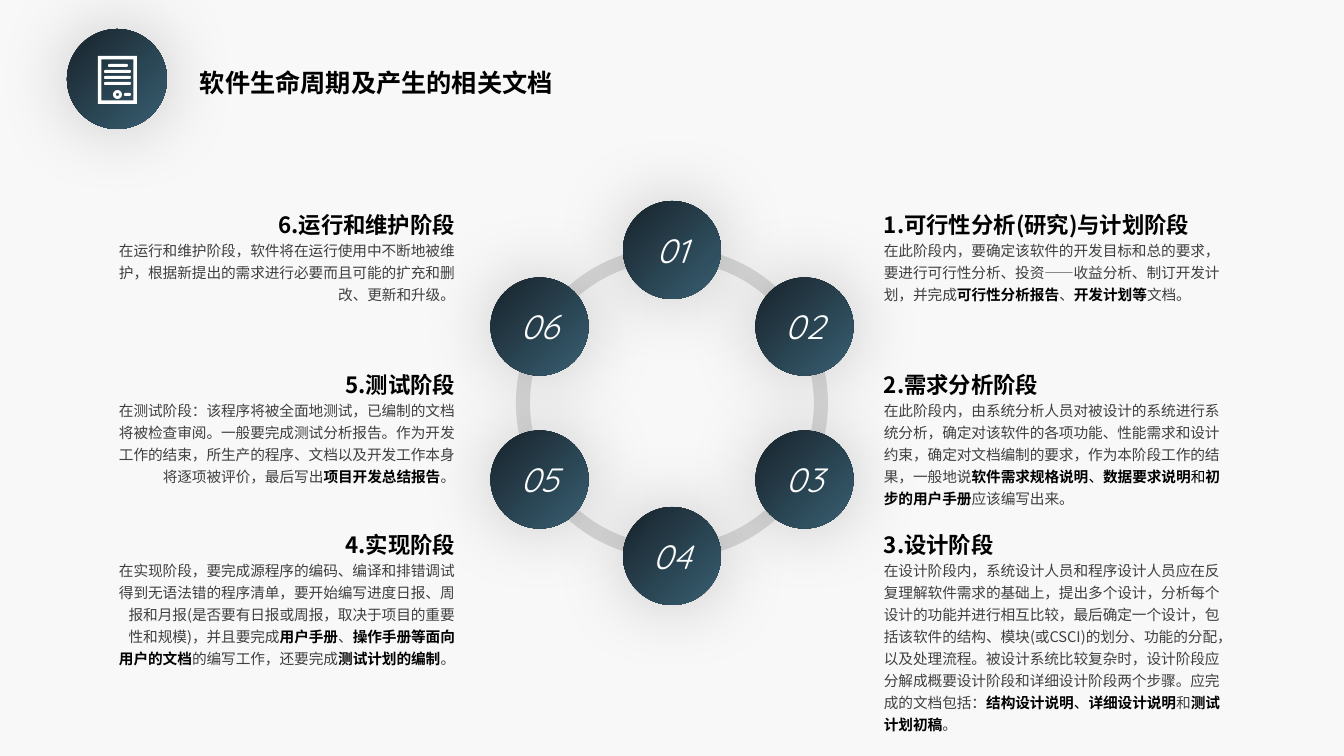
from math import cos, radians, sin

from lxml.etree import SubElement
from pptx import Presentation
from pptx.dml.color import RGBColor
from pptx.enum.shapes import MSO_SHAPE as Shape
from pptx.enum.text import MSO_ANCHOR as Anchor
from pptx.enum.text import MSO_AUTO_SIZE as Auto
from pptx.enum.text import PP_ALIGN as Align
from pptx.oxml.ns import qn
from pptx.util import Pt

WIDE, HIGH = 1344, 756
CJK = "Noto Sans CJK SC"
BLACK, WHITE, GREY = "000000", "FFFFFF", "404040"

# In body text "|" parts runs; "*" marks bold black, "=" plain black
RIGHT = [
    ("1.可行性分析(研究)与计划阶段",
     "在此阶段内，要确定该软件的开发目标和总的要求，要进行可行性分析、投资——收益分析、制订开发计划，并完成"
     "|*可行性分析报告|、|*开发计划等|文档。"),
    ("2.需求分析阶段",
     "在此阶段内，由系统分析人员对被设计的系统进行系统分析，确定对该软件的各项功能、性能需求和设计约束，"
     "确定对文档编制的要求，作为本阶段工作的结果，一般地说"
     "|*软件需求规格说明|=、|*数据要求说明|=和|*初步的用户手册|应该编写出来。"),
    ("3.设计阶段",
     "在设计阶段内，系统设计人员和程序设计人员应在反复理解软件需求的基础上，提出多个设计，分析每个设计的功能"
     "并进行相互比较，最后确定一个设计，包括该软件的结构、模块(或CSCI)的划分、功能的分配，以及处理流程。"
     "被设计系统比较复杂时，设计阶段应分解成概要设计阶段和详细设计阶段两个步骤。应完成的文档包括："
     "|*结构设计说明|=、|*详细设计说明|和|*测试计划初稿|。"),
]
LEFT = [
    ("6.运行和维护阶段",
     "在运行和维护阶段，软件将在运行使用中不断地被维护，根据新提出的需求进行必要而且可能的扩充和删改、更新和升级。"),
    ("5.测试阶段",
     "在测试阶段：该程序将被全面地测试，已编制的文档将被检查审阅。一般要完成测试分析报告。作为开发工作的结束，"
     "所生产的程序、文档以及开发工作本身将逐项被评价，最后写出|*项目开发总结报告|。"),
    ("4.实现阶段",
     "在实现阶段，要完成源程序的编码、编译和排错调试得到无语法错的程序清单，要开始编写进度日报、周报和月报"
     "(是否要有日报或周报，取决于项目的重要性和规模)，并且要完成"
     "|*用户手册|、|*操作手册等面向用户的文档|的编写工作，还要完成|*测试计划的编制|。"),
]


def px(n):
    return round(n * 914400 / 100.8)


def rgb(code):
    return RGBColor.from_string(code)


def add_run(para, text, color, **style):
    run = para.add_run()
    run.text = text
    for key, val in style.items():
        setattr(run.font, key, val)
    run.font.color.rgb = rgb(color)
    props = run._r.get_or_add_rPr()
    props.set("lang", "zh-CN")
    SubElement(props, qn("a:ea")).set("typeface", style["name"])


def add_part(slide, kind, box, color, adjs=()):
    part = slide.shapes.add_shape(kind, *map(px, box))
    part.shadow.inherit = False
    part.fill.solid()
    part.fill.fore_color.rgb = rgb(color)
    part.line.fill.background()
    for i, val in enumerate(adjs):
        part.adjustments[i] = val
    return part


def add_disc(slide, box):
    disc = add_part(slide, Shape.OVAL, box, WHITE)
    # Diagonal gradient
    disc.fill.gradient()
    disc.fill.gradient_angle = 315
    for stop, code, pos in zip(disc.fill.gradient_stops, ("17232B", "395F72"), (0, 1)):
        stop.color.rgb = rgb(code)
        stop.position = pos
    # Soft shadow all round
    glow = SubElement(disc._element.spPr.find(qn("a:effectLst")), qn("a:outerShdw"),
                      blurRad=str(Pt(53)), dist="0", dir="0", algn="ctr", rotWithShape="0")
    tint = SubElement(glow, qn("a:srgbClr"), val=BLACK)
    SubElement(tint, qn("a:alpha"), val="20000")
    return disc


def add_text(slide, box, runs, size, font, align=Align.LEFT, space=None):
    frame = slide.shapes.add_textbox(*map(px, box)).text_frame
    frame.word_wrap = True
    frame.auto_size = Auto.SHAPE_TO_FIT_TEXT
    para = frame.paragraphs[0]
    para.alignment = align
    para.line_spacing = space
    for text, color, bold in runs:
        add_run(para, text, color, size=Pt(size), name=font, bold=bold)


def split_runs(body):
    for text in body.split("|"):
        dark = text[0] in "*="
        yield text.lstrip("*="), BLACK if dark else GREY, text[0] == "*"


def add_head(slide, x, y):
    add_text(slide, (x + 123, y + 33, 876, 40),
             [("软件生命周期及产生的相关文档", BLACK, True)], 18, "Arial")
    add_disc(slide, (x, y, 100, 100))
    # Page icon: frame, text lines, seal
    add_part(slide, Shape.FRAME, (x + 31, y + 27, 39, 48), WHITE, [0.09])
    bars = [(41, 35, 20)] + [(37, 41 + 6 * i, 27) for i in range(3)] + [(57, 64, 7)]
    for dx, dy, w in bars:
        add_part(slide, Shape.ROUNDED_RECTANGLE, (x + dx, y + dy, w, 3), WHITE, [0.5])
    add_part(slide, Shape.DONUT, (x + 46, y + 61, 9, 9), WHITE, [0.33])


def add_ring(slide, x, y, size):
    # Arcs that close the circle
    ends = [18 + 36 * i for i in range(6)]
    for start, end in zip(ends, ends[1:] + ends[:1]):
        add_part(slide, Shape.BLOCK_ARC, (x, y, size, size), "D9D9D9",
                 [start * 0.6, end * 0.6, 0.045])
    # Numbered discs, clockwise from the top
    mid, orbit, wide = size / 2, 153, 98
    for i in range(6):
        turn = radians(60 * i)
        left = x + mid + orbit * sin(turn) - wide / 2
        top = y + mid - orbit * cos(turn) - wide / 2
        frame = add_disc(slide, (left, top, wide, wide)).text_frame
        frame.vertical_anchor = Anchor.MIDDLE
        para = frame.paragraphs[0]
        para.alignment = Align.CENTER
        add_run(para, f"{i + 1:02}", WHITE, size=Pt(24), name="Quicksand", italic=True)


def add_column(slide, x, y, w, items, align):
    for i, (head, body) in enumerate(items):
        top = y + 160 * i
        add_text(slide, (x, top + 31, w, 77), split_runs(body), 10.5, CJK, align, 1.25)
        add_text(slide, (x, top, w, 42), [(head, BLACK, True)], 16, CJK, align, 1.2)


def main():
    deck = Presentation()
    deck.slide_width, deck.slide_height = px(WIDE), px(HIGH)
    slide = deck.slides.add_slide(deck.slide_layouts[6])
    slide.background.fill.solid()
    slide.background.fill.fore_color.rgb = rgb("F8F8F8")
    add_ring(slide, 516, 247, 312)
    add_column(slide, 874, 201, 360, RIGHT, Align.LEFT)
    add_column(slide, 105, 201, 360, LEFT, Align.RIGHT)
    add_head(slide, 67, 29)
    deck.save("out.pptx")


if __name__ == "__main__":
    main()
